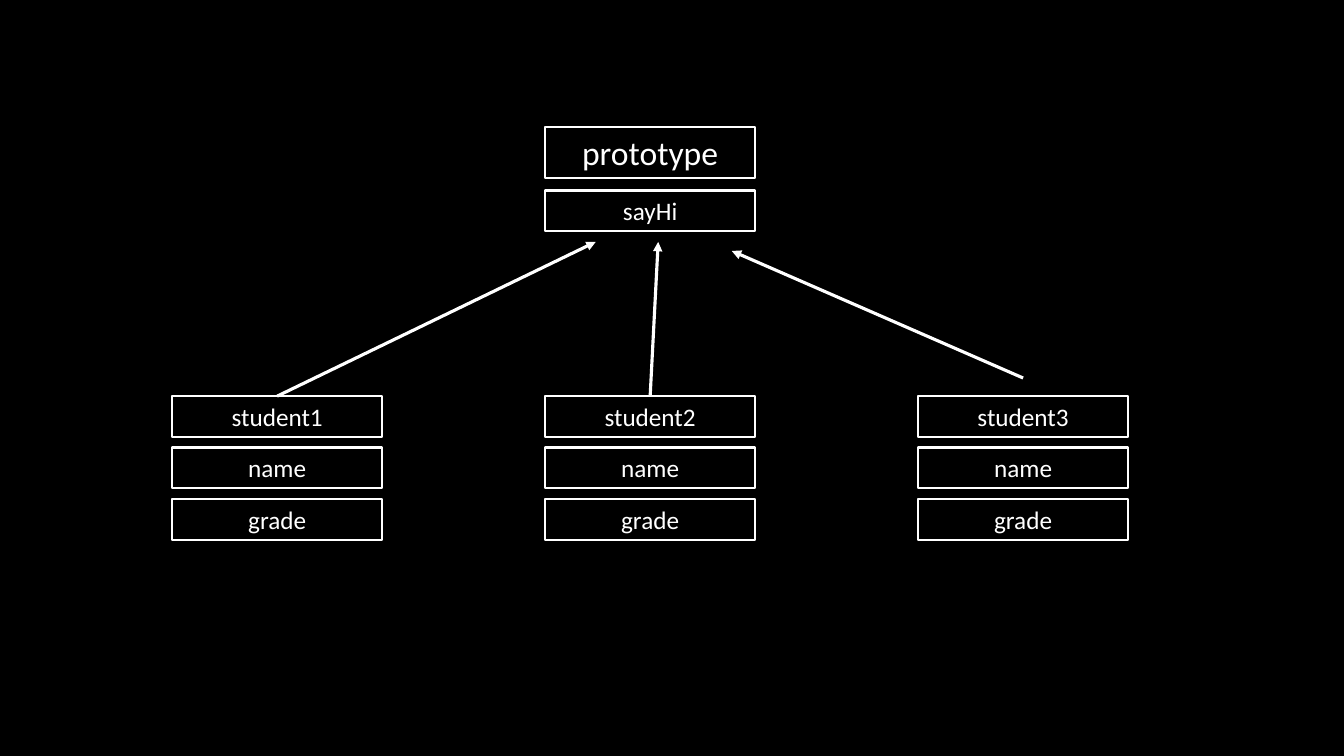
import dataclasses

import pptx
import pptx.dml.color
import pptx.enum.shapes
import pptx.enum.text
import pptx.oxml
import pptx.oxml.ns
import pptx.slide
import pptx.util

Pt = pptx.util.Pt
BLACK = pptx.dml.color.RGBColor(0x00, 0x00, 0x00)
WHITE = pptx.dml.color.RGBColor(0xFF, 0xFF, 0xFF)

# Layout in points
BOX_WIDTH = 149.76
ROW_HEIGHT = 29.08
TITLE_HEIGHT = 36.35
COLUMN_LEFT, COLUMN_STEP = 123.12, 266.4
ROW_TOP, ROW_STEP = 282.96, 36.72
PROTOTYPE_LEFT = COLUMN_LEFT + COLUMN_STEP


@dataclasses.dataclass(frozen=True)
class Box:
    label: str
    left: float
    top: float
    height: float = ROW_HEIGHT
    size: float = 18


@dataclasses.dataclass(frozen=True)
class Arrow:
    start: tuple[float, float]
    end: tuple[float, float]


# Three student objects below their shared prototype
BOXES = [
    Box(label, COLUMN_LEFT + column * COLUMN_STEP, ROW_TOP + row * ROW_STEP)
    for column in range(3)
    for row, label in enumerate((f"student{column + 1}", "name", "grade"))
] + [
    Box("prototype", PROTOTYPE_LEFT, 90.72, TITLE_HEIGHT, 24),
    Box("sayHi", PROTOTYPE_LEFT, 136.08),
]
ARROWS = [
    Arrow((198, ROW_TOP), (425.52, 172.8)),
    Arrow((464.4, ROW_TOP), (470.16, 172.8)),
    Arrow((730.8, 270), (522.72, 179.28)),
]


def apply_format(target: object, values: dict[str, object]) -> None:
    for name, value in values.items():
        setattr(target, name, value)


def draw_box(page: pptx.slide.Slide, box: Box) -> None:
    shape = page.shapes.add_shape(
        pptx.enum.shapes.MSO_SHAPE.RECTANGLE,
        Pt(box.left), Pt(box.top), Pt(BOX_WIDTH), Pt(box.height),
    )
    shape.shadow.inherit = False
    shape.fill.solid()
    shape.fill.fore_color.rgb = BLACK
    shape.line.color.rgb = WHITE
    shape.line.width = Pt(1.5)
    apply_format(shape.text_frame, {
        "word_wrap": True,
        "auto_size": pptx.enum.text.MSO_AUTO_SIZE.SHAPE_TO_FIT_TEXT,
        "vertical_anchor": pptx.enum.text.MSO_ANCHOR.TOP,
    })
    para = shape.text_frame.paragraphs[0]
    para.alignment = pptx.enum.text.PP_ALIGN.CENTER
    span = para.add_run()
    span.text = box.label
    apply_format(span.font, {"name": "Calibri", "size": Pt(box.size)})
    span.font.color.rgb = WHITE


def draw_arrow(page: pptx.slide.Slide, arrow: Arrow) -> None:
    connector = page.shapes.add_connector(
        pptx.enum.shapes.MSO_CONNECTOR.STRAIGHT,
        *map(Pt, arrow.start + arrow.end),
    )
    connector.line.color.rgb = WHITE
    connector.line.width = Pt(2.25)
    # Arrowhead at the end, and no shadow
    namespace = pptx.oxml.ns.nsdecls("a")
    line = connector.line._get_or_add_ln()
    line.append(pptx.oxml.parse_xml(f'<a:tailEnd {namespace} type="triangle"/>'))
    properties = connector._element.spPr
    properties.append(pptx.oxml.parse_xml(f"<a:effectLst {namespace}/>"))


def main() -> None:
    deck = pptx.Presentation()
    apply_format(deck, {"slide_width": Pt(960), "slide_height": Pt(540)})
    page = deck.slides.add_slide(deck.slide_layouts[6])
    page.background.fill.solid()
    page.background.fill.fore_color.rgb = BLACK
    for box in BOXES:
        draw_box(page, box)
    for arrow in ARROWS:
        draw_arrow(page, arrow)
    deck.save("out.pptx")


if __name__ == "__main__":
    main()
